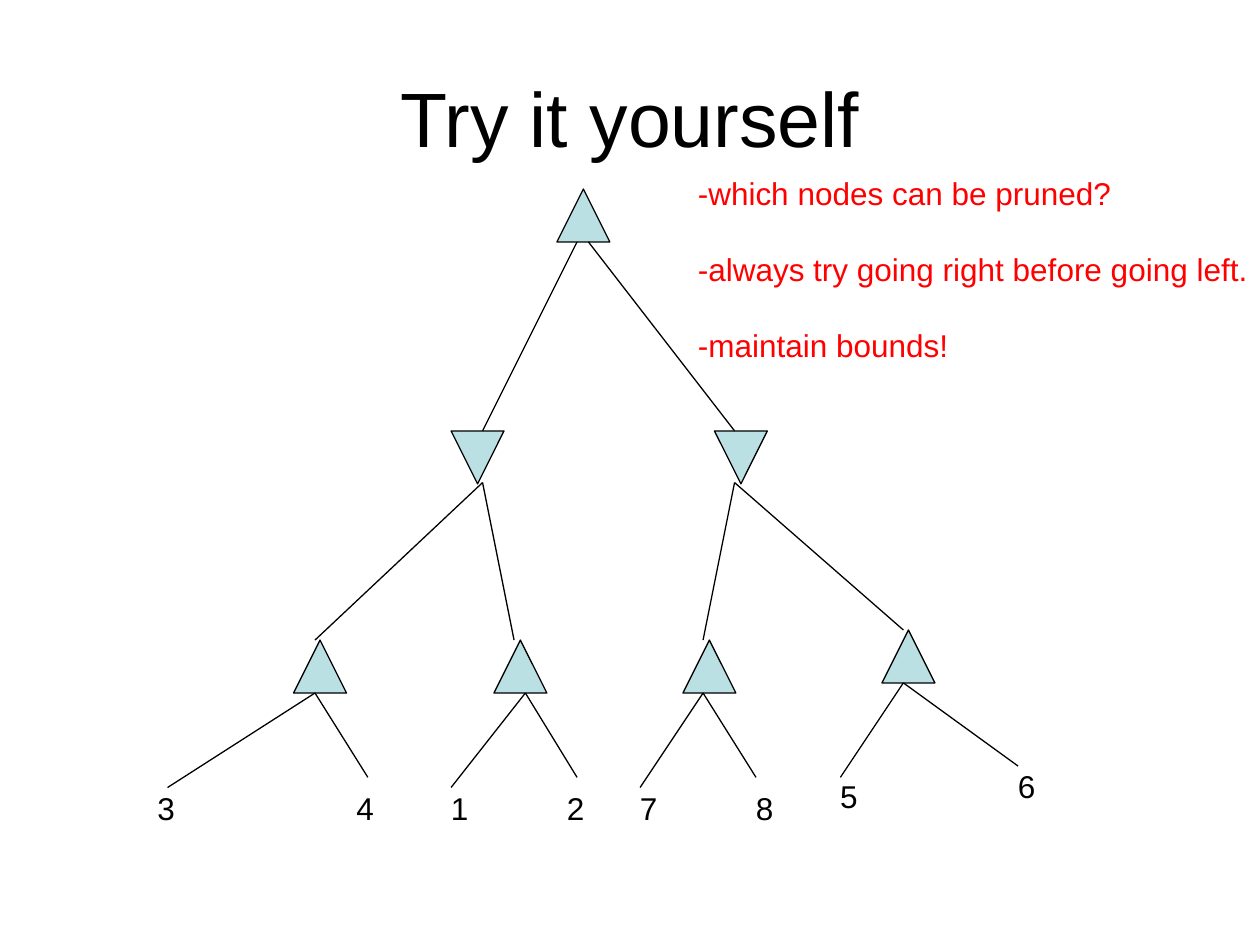
from lxml import etree
from pptx import Presentation
from pptx.dml.color import RGBColor
from pptx.enum import shapes, text
from pptx.oxml import ns
from pptx.util import Inches, Pt

BLACK = RGBColor(0x00, 0x00, 0x00)
RED = RGBColor(0xFF, 0x00, 0x00)
NODE_FILL = RGBColor(0xBB, 0xE0, 0xE3)
FONT = "Arial"
NODE_SIZE = 0.42

MAX_NODES = [(4.42, 1.5), (2.33, 5.08), (3.92, 5.08), (5.42, 5.08), (7, 5)]
MIN_NODES = [(3.58, 3.42), (5.67, 3.42)]
BRANCHES = [
    ((4.58, 1.92), (3.83, 3.42)),
    ((4.67, 1.92), (5.83, 3.42)),
    ((3.83, 3.83), (2.5, 5.08), (4.08, 5.08)),
    ((5.83, 3.83), (5.58, 5.08), (7.17, 5)),
    ((2.5, 5.5), (1.33, 6.25), (2.92, 6.17)),
    ((4.17, 5.5), (3.58, 6.25), (4.58, 6.17)),
    ((5.58, 5.5), (5.08, 6.25), (6, 6.17)),
    ((7.17, 5.42), (6.67, 6.17), (8.08, 6.08)),
]
LEAVES = [
    ("3", 1.15, 6.21), ("4", 2.73, 6.21), ("1", 3.48, 6.21), ("2", 4.4, 6.21),
    ("7", 4.98, 6.21), ("8", 5.9, 6.21), ("5", 6.57, 6.12), ("6", 7.98, 6.04),
]
HINTS = [
    "-which nodes can be pruned?",
    "-always try going right before going left.",
    "-maintain bounds!",
]


def write_text(tf, lines, size=18, color=BLACK, align=text.PP_ALIGN.LEFT, gap=0):
    for i, line in enumerate(lines):
        p = tf.paragraphs[0] if i == 0 else tf.add_paragraph()
        p.alignment = align
        p.space_before = Pt(gap if i else 0)
        r = p.add_run()
        r.text = line
        r.font.name = FONT
        r.font.size = Pt(size)
        r.font.color.rgb = color


def add_title(slide, title):
    sp = slide.shapes.title
    sp.left, sp.top, sp.width, sp.height = map(Inches, (0.5, 0.3, 9, 1.25))
    tf = sp.text_frame
    tf.vertical_anchor = text.MSO_ANCHOR.MIDDLE
    write_text(tf, [title], size=44, align=text.PP_ALIGN.CENTER)


def add_label(slide, lines, left, top, width=0.34, height=0.4, **fmt):
    sp = slide.shapes.add_textbox(*map(Inches, (left, top, width, height)))
    tf = sp.text_frame
    tf.word_wrap = True
    tf.auto_size = text.MSO_AUTO_SIZE.NONE
    tf.margin_right = 0
    write_text(tf, lines, **fmt)


def add_node(slide, left, top, rotation=0):
    sp = slide.shapes.add_shape(
        shapes.MSO_SHAPE.ISOSCELES_TRIANGLE,
        *map(Inches, (left, top, NODE_SIZE, NODE_SIZE)))
    sp.rotation = rotation
    sp.shadow.inherit = False
    sp.fill.solid()
    sp.fill.fore_color.rgb = NODE_FILL
    sp.line.color.rgb = BLACK
    sp.line.width = Pt(0.75)


def add_branch(slide, start, end):
    sp = slide.shapes.add_connector(
        shapes.MSO_CONNECTOR.STRAIGHT, *map(Inches, start + end))
    sp.line.color.rgb = BLACK
    sp.line.width = Pt(0.75)
    etree.SubElement(sp._element.spPr, ns.qn("a:effectLst"))


def main():
    prs = Presentation()
    prs.slide_width, prs.slide_height = Inches(10), Inches(7.5)
    slide = prs.slides.add_slide(prs.slide_layouts[5])
    add_title(slide, "Try it yourself")
    for left, top in MAX_NODES:
        add_node(slide, left, top)
    for left, top in MIN_NODES:
        add_node(slide, left, top, rotation=180)
    for parent, *children in BRANCHES:
        for child in children:
            add_branch(slide, parent, child)
    for value, left, top in LEAVES:
        add_label(slide, [value], left, top)
    add_label(slide, HINTS, 5.44, 1.33, 4.56, 1.6, color=RED, gap=22)
    prs.save("out.pptx")


if __name__ == "__main__":
    main()
